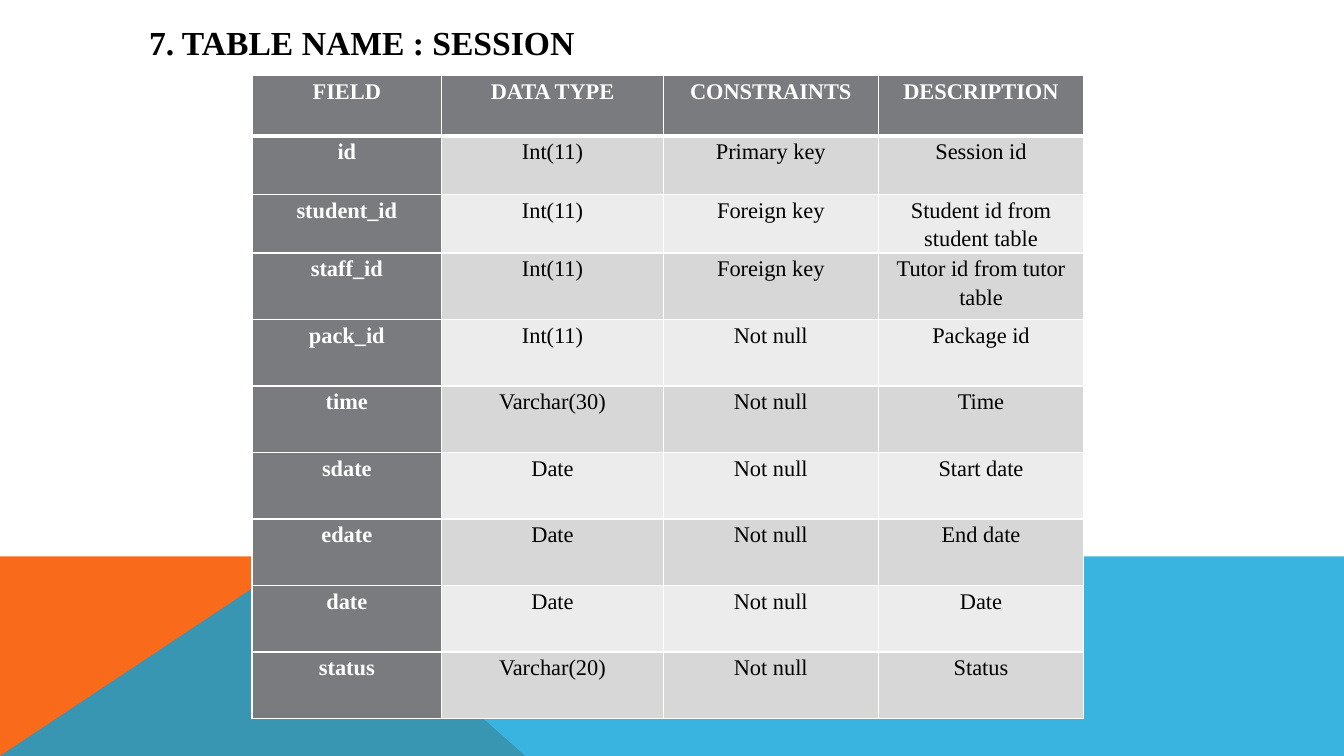
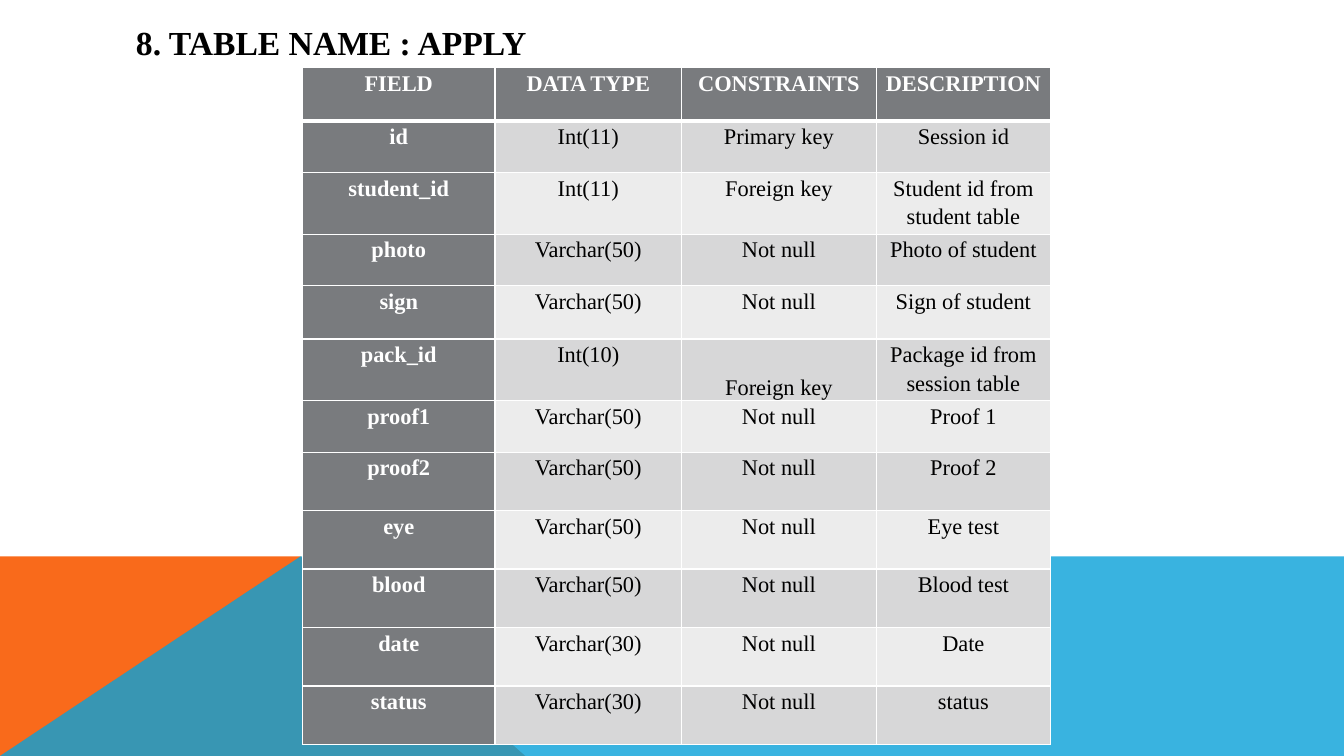
from lxml.etree import SubElement as Sub
from pptx import Presentation
from pptx.dml.color import RGBColor as RGB
from pptx.enum.text import MSO_ANCHOR as Anchor, PP_ALIGN as Align
from pptx.oxml.ns import qn
from pptx.util import Inches, Pt

COLORS = {
    "paper": "FFFFFF", "ink": "000000", "orange": "F96A1B", "blue": "08A1D9",
    "head": "797B7E", "dark": "D7D7D8", "light": "ECECEC",
}
FONT = "Times New Roman"
WIDE, HIGH = 13.33, 7.5
HEADS = ("FIELD", "DATA TYPE", "CONSTRAINTS", "DESCRIPTION")

SESSION = {
    "title": "7. TABLE NAME : SESSION",
    "left": 1.38, "width": 4.47,
    "spot": (2.5, 0.75),
    "cols": (1.88, 2.2, 2.13, 2.04),
    "highs": (0.6, 0.58, 0.58) + (0.66,) * 7,
    "rows": (
        ("id", "Int(11)", "Primary key", "Session id"),
        ("student_id", "Int(11)", "Foreign key", "Student id from student table"),
        ("staff_id", "Int(11)", "Foreign key", "Tutor id from tutor table"),
        ("pack_id", "Int(11)", "Not null", "Package id"),
        ("time", "Varchar(30)", "Not null", "Time"),
        ("sdate", "Date", "Not null", "Start date"),
        ("edate", "Date", "Not null", "End date"),
        ("date", "Date", "Not null", "Date"),
        ("status", "Varchar(20)", "Not null", "Status"),
    ),
    "low": (),
}
APPLY = {
    "title": "8. TABLE NAME : APPLY",
    "left": 1.25, "width": 4.11,
    "spot": (3, 0.67),
    "cols": (1.91, 1.85, 1.93, 1.73),
    "highs": (0.53, 0.51, 0.51, 0.51, 0.53, 0.58, 0.51) + (0.58,) * 5,
    "rows": (
        ("id", "Int(11)", "Primary key", "Session id"),
        ("student_id", "Int(11)", "Foreign key", "Student id from student table"),
        ("photo", "Varchar(50)", "Not null", "Photo of student"),
        ("sign", "Varchar(50)", "Not null", "Sign of student"),
        ("pack_id", "Int(10)", "Foreign key", "Package id from session table"),
        ("proof1", "Varchar(50)", "Not null", "Proof 1"),
        ("proof2", "Varchar(50)", "Not null", "Proof 2"),
        ("eye", "Varchar(50)", "Not null", "Eye test"),
        ("blood", "Varchar(50)", "Not null", "Blood test"),
        ("date", "Varchar(30)", "Not null", "Date"),
        ("status", "Varchar(30)", "Not null", "status"),
    ),
    "low": ((5, 2),),
}


def tint(name):
    """Return the named colour."""
    return RGB.from_string(COLORS[name])


def style(para, size, color, bold):
    """Set the font of a paragraph."""
    font = para.font
    font.name, font.size, font.bold = FONT, Pt(size), bold
    font.color.rgb = tint(color)


def band(slide, points, color, alpha=None):
    """Draw one filled outline, see-through if alpha is given."""
    spots = [(Inches(x), Inches(y)) for x, y in points]
    form = slide.shapes.build_freeform(*spots[0])
    form.add_line_segments(spots[1:], close=True)
    shape = form.convert_to_shape()
    shape.shadow.inherit = False
    shape.line.fill.background()
    shape.fill.solid()
    shape.fill.fore_color.rgb = tint(color)
    if alpha:
        tone = next(shape.element.spPr.iter(qn("a:srgbClr")))
        Sub(tone, qn("a:alpha"), val=str(alpha * 1000))


def footer(slide, top=5.52, peak=2.98, foot=5.21):
    """Draw the two crossing bands at the foot of the slide."""
    band(slide, ((0, HIGH), (0, top), (peak, top), (foot, HIGH)), "orange")
    band(slide, ((0, HIGH), (peak, top), (WIDE, top), (WIDE, HIGH)), "blue", 80)


def title(slide, text, left, width, top=0.17, high=0.5):
    """Write the slide title."""
    box = slide.shapes.add_textbox(*map(Inches, (left, top, width, high)))
    frame = box.text_frame
    frame.word_wrap = False
    frame.vertical_anchor = Anchor.MIDDLE
    para = frame.paragraphs[0]
    para.text = text
    style(para, 24, "ink", True)


def border(cell, row):
    """Rule the cell in white, thicker under the header."""
    props = cell._tc.get_or_add_tcPr()
    thick = {(0, "B"), (1, "T")}
    for side in "LRTB":
        size = 3 if (row, side) in thick else 1
        line = Sub(props, qn(f"a:ln{side}"), w=str(Pt(size)))
        fill = Sub(line, qn("a:solidFill"))
        Sub(fill, qn("a:srgbClr"), val=COLORS["paper"])


def fill_cell(cell, text, row, col):
    """Fill and style one cell by its place in the table."""
    head = row == 0 or col == 0
    cell.margin_left = cell.margin_right = Inches(0.07)
    cell.margin_top = cell.margin_bottom = 0
    border(cell, row)
    cell.fill.solid()
    cell.fill.fore_color.rgb = tint("head" if head else ("light", "dark")[row % 2])
    para = cell.text_frame.paragraphs[0]
    para.text = text
    para.alignment, para.line_spacing = Align.CENTER, 1.15
    style(para, 16, "paper" if head else "ink", head)


def grid(slide, spot, cols, highs, rows, low):
    """Place the field table; cells listed in low sit at the bottom."""
    size = (*spot, sum(cols), sum(highs))
    frame = slide.shapes.add_table(len(highs), len(cols), *map(Inches, size))
    table = frame.table
    table.first_col, table.horz_banding = True, False
    for col, width in zip(table.columns, cols):
        col.width = Inches(width)
    for line, high in zip(table.rows, highs):
        line.height = Inches(high)
    for row, texts in enumerate((HEADS, *rows)):
        for col, text in enumerate(texts):
            fill_cell(table.cell(row, col), text, row, col)
    for row, col in low:
        table.cell(row, col).vertical_anchor = Anchor.BOTTOM


def page(deck, data):
    """Add one slide that describes a database table."""
    slide = deck.slides.add_slide(deck.slide_layouts[6])
    footer(slide)
    grid(slide, *(data[key] for key in ("spot", "cols", "highs", "rows", "low")))
    title(slide, data["title"], data["left"], data["width"])


def main():
    """Build and save the deck."""
    deck = Presentation()
    deck.slide_width, deck.slide_height = Inches(WIDE), Inches(HIGH)
    for data in (SESSION, APPLY):
        page(deck, data)
    deck.save("out.pptx")


if __name__ == "__main__":
    main()
